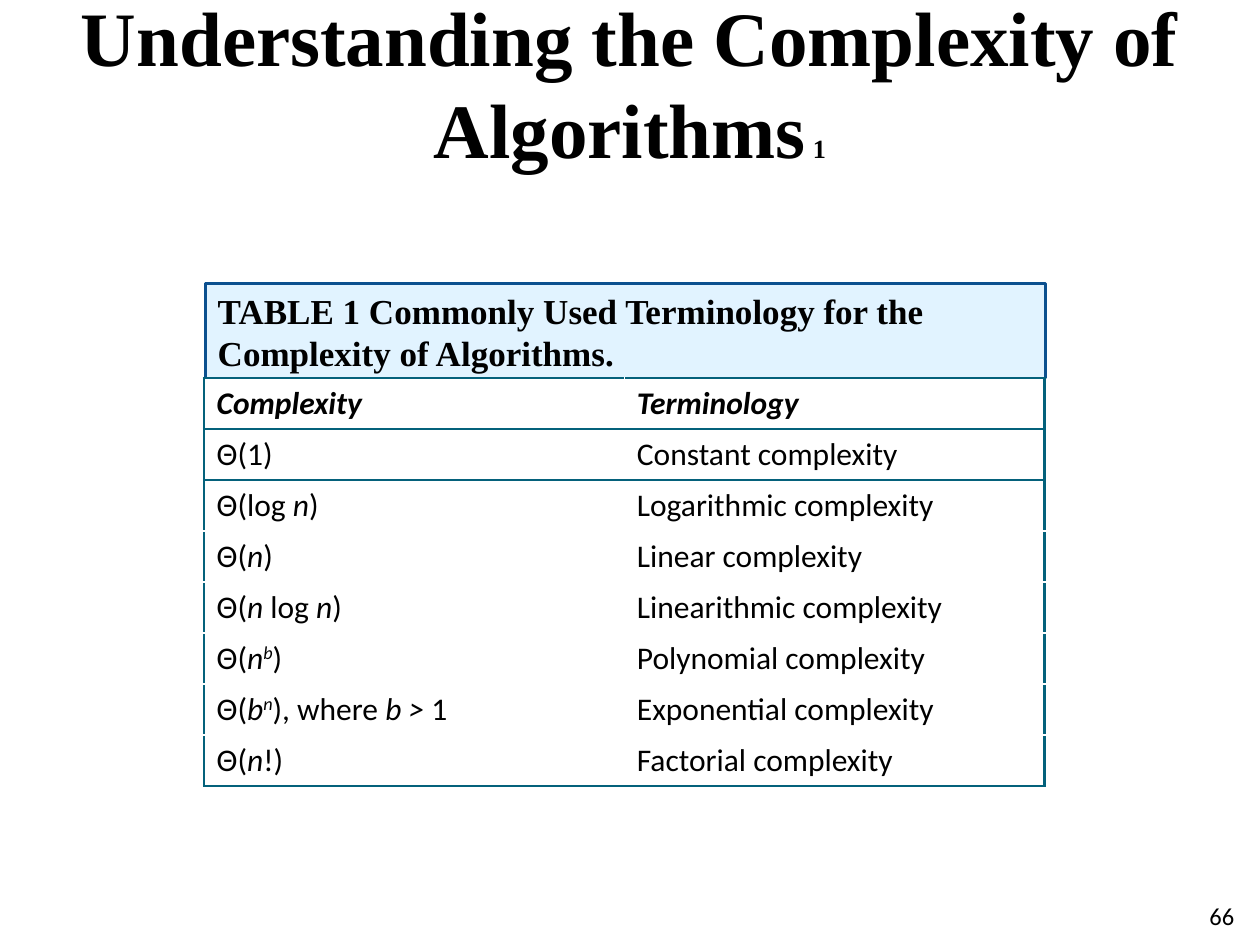
from lxml.etree import SubElement
from pptx import Presentation
from pptx.dml.color import RGBColor
from pptx.enum.shapes import MSO_SHAPE
from pptx.enum.text import MSO_ANCHOR, PP_ALIGN
from pptx.oxml.ns import qn
from pptx.util import Inches, Pt

ROWS = [
    ("Complexity", "Terminology"),
    ("Θ(1)", "Constant complexity"),
    ("Θ(log *n*)", "Logarithmic complexity"),
    ("Θ(*n*)", "Linear complexity"),
    ("Θ(*n *log *n*)", "Linearithmic complexity"),
    ("Θ(*n^b*)", "Polynomial complexity"),
    ("Θ(*b^n*), where *b > *1", "Exponential complexity"),
    ("Θ(*n*!)", "Factorial complexity"),
]
RULED_EDGES = (0, 1, 2, len(ROWS))


def rgb(color):
    return RGBColor.from_string(color)


class SlideBuilder:
    """Holds the slide style and adds each kind of element to the current slide."""

    serif, sans = "Times New Roman", "Calibri"
    ink, paper, rule = "000000", "FFFFFF", "04617B"
    caption_fill, caption_line = "E1F3FF", "0B508F"

    def __init__(self, s):
        self.s = s

    def style(self, p, name, size, bold=False, italic=False):
        f = p.font
        f.name, f.size, f.bold, f.italic = name, Pt(size), bold, italic
        f.color.rgb = rgb(self.ink)

    def box(self, x, y, w, h, wrap=True):
        tf = self.s.shapes.add_textbox(Inches(x), Inches(y), Inches(w), Inches(h)).text_frame
        tf.word_wrap = wrap
        return tf

    def title(self, text, number):
        tf = self.box(0, 0, 10, 1.3)
        tf.vertical_anchor = MSO_ANCHOR.MIDDLE
        p = tf.paragraphs[0]
        p.alignment = PP_ALIGN.CENTER
        self.style(p, self.serif, 44, bold=True)
        p.add_run().text = text
        r = p.add_run()
        r.text = f" {number}"
        r.font.size = Pt(15)

    def page_number(self, number):
        p = self.box(9.5, 7.1, 0.58, 0.34, wrap=False).paragraphs[0]
        p.text = str(number)
        self.style(p, self.sans, 14)

    def caption(self, text, x, y, w, h):
        sp = self.s.shapes.add_shape(MSO_SHAPE.RECTANGLE, Inches(x), Inches(y), Inches(w), Inches(h))
        sp.shadow.inherit = False
        sp.fill.solid()
        sp.fill.fore_color.rgb = rgb(self.caption_fill)
        sp.line.color.rgb = rgb(self.caption_line)
        sp.line.width = Pt(1.5)
        tf = sp.text_frame
        tf.word_wrap = True
        tf.vertical_anchor = MSO_ANCHOR.TOP
        p = tf.paragraphs[0]
        p.text = text
        p.alignment = PP_ALIGN.LEFT
        self.style(p, self.serif, 20, bold=True)

    def formula(self, p, text):
        """Write text with *italic* spans, where ^ raises the rest of a span."""
        for i, span in enumerate(text.split("*")):
            base, _, power = span.partition("^")
            for part, raised in ((base, False), (power, True)):
                if part:
                    r = p.add_run()
                    r.text = part
                    if i % 2:
                        r.font.italic = True
                    if raised:
                        r.font._element.set("baseline", "30000")

    def borders(self, cell, **ruled):
        tc_pr = cell._tc.get_or_add_tcPr()
        for i, (side, is_ruled) in enumerate(ruled.items()):
            ln = tc_pr.makeelement(qn(f"a:ln{side}"), {"w": str(Pt(1.5 if is_ruled else 1))})
            fill = SubElement(ln, qn("a:solidFill"))
            SubElement(fill, qn("a:srgbClr"), val=self.rule if is_ruled else self.paper)
            tc_pr.insert(i, ln)

    def table(self, rows, x, y, w, row_h):
        n_cols = len(rows[0])
        table = self.s.shapes.add_table(
            len(rows), n_cols, Inches(x), Inches(y), Inches(w), Inches(row_h * len(rows))
        ).table
        for i, row in enumerate(rows):
            table.rows[i].height = Inches(row_h)
            for j, text in enumerate(row):
                cell = table.cell(i, j)
                cell.fill.solid()
                cell.fill.fore_color.rgb = rgb(self.paper)
                p = cell.text_frame.paragraphs[0]
                self.style(p, self.sans, 18, bold=i == 0, italic=i == 0)
                self.formula(p, text)
                self.borders(cell, L=j == 0, R=j == n_cols - 1,
                             T=i in RULED_EDGES, B=i + 1 in RULED_EDGES)


def main():
    prs = Presentation()
    prs.slide_width, prs.slide_height = Inches(10), Inches(7.5)
    b = SlideBuilder(prs.slides.add_slide(prs.slide_layouts[6]))
    b.page_number(66)
    b.title("Understanding the Complexity of Algorithms", 1)
    b.caption("TABLE 1 Commonly Used Terminology for the Complexity of Algorithms.",
              1.63, 2.25, 6.67, 0.75)
    b.table(ROWS, 1.62, 3, 6.67, 0.405)
    prs.save("out.pptx")


if __name__ == "__main__":
    main()
